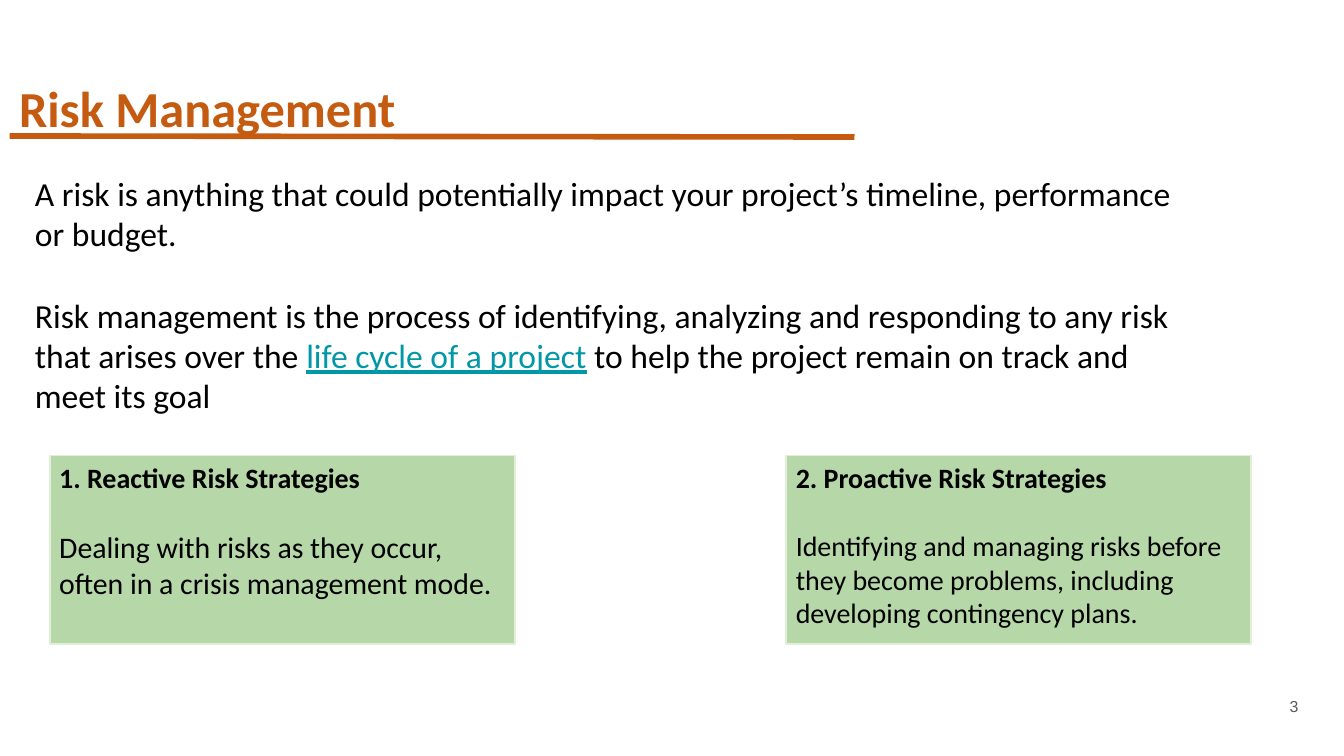
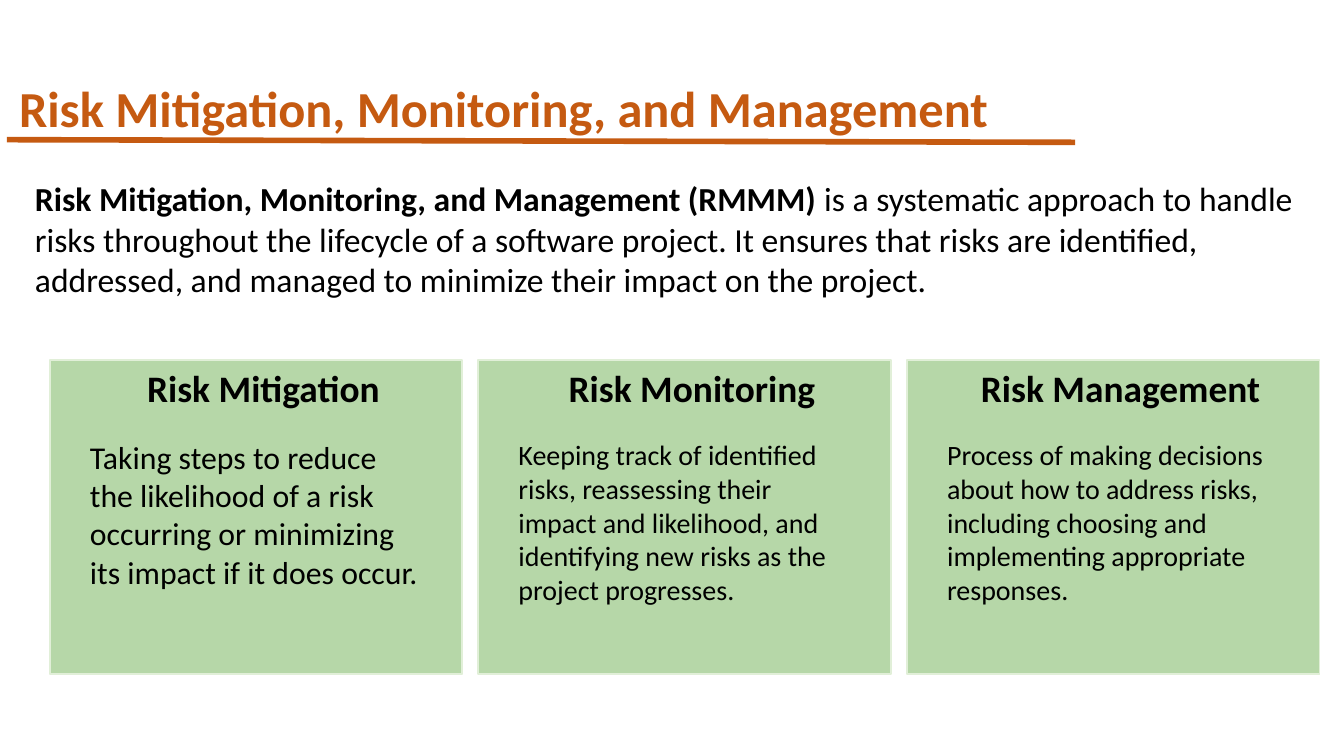
from lxml.etree import SubElement
from pptx import Presentation
from pptx.dml.color import RGBColor
from pptx.enum.shapes import MSO_CONNECTOR as Connector, MSO_SHAPE as Shape
from pptx.enum.text import MSO_ANCHOR as Anchor, MSO_AUTO_SIZE as AutoSize, PP_ALIGN as Align
from pptx.oxml.ns import qn
from pptx.util import Cm, Pt

ORANGE, GREEN, PALE_GREEN = "C55A11", "B6D7A8", "E1EFD8"
BLACK, TEAL, GRAY = "000000", "0097A7", "595959"
TIGHT, ROOMY = (0.18, 0.1), (0.25, 0.25)  # side and top insets in cm


def rgb(value):
    return RGBColor.from_string(value)


def write(shape, *paragraphs, size=18, color=BLACK, font="Calibri", bold=False,
          align=Align.LEFT, anchor=Anchor.TOP, inset=ROOMY, gap=0, spacing=1,
          indent=(0, 0)):
    """Each paragraph is a list of (text, overrides); gap separates paragraphs."""
    frame = shape.text_frame
    frame.word_wrap = True
    frame.auto_size = AutoSize.NONE
    frame.vertical_anchor = anchor
    frame.margin_left = frame.margin_right = Cm(inset[0])
    frame.margin_top = frame.margin_bottom = Cm(inset[1])
    for number, runs in enumerate(paragraphs):
        paragraph = frame.add_paragraph() if number else frame.paragraphs[0]
        paragraph.alignment = align
        paragraph.line_spacing = spacing
        paragraph.space_before = Pt(gap if number else 0)
        properties = paragraph._p.get_or_add_pPr()
        properties.set("marL", str(Cm(indent[0])))
        properties.set("indent", str(Cm(indent[1])))
        SubElement(properties, qn("a:buNone"))
        for text, overrides in runs:
            run = paragraph.add_run()
            run.text = text
            run.font.name = font
            run.font.size = Pt(overrides.get("size", size))
            run.font.bold = overrides.get("bold", bold)
            run.font.underline = overrides.get("underline", False)
            run.font.color.rgb = rgb(overrides.get("color", color))


prs = Presentation()
prs.slide_width, prs.slide_height = Cm(25.4), Cm(14.29)

# Title, title width, underline (start and end), body position, body paragraphs
topics = [
    ("Risk Management", 15.9, (0.18, 2.57, 16.15, 2.59), (0.41, 3.02, 22.58, 10.64), [
        [("A risk is anything that could potentially impact your project’s timeline, "
          "performance or budget.", {})],
        [("Risk management is the process of identifying, analyzing and responding to "
          "any risk that arises over the ", {}),
         ("life cycle of a project", {"color": TEAL, "underline": True}),
         (" to help the project remain on track and meet its goal", {})],
    ]),
    ("Risk Mitigation, Monitoring, and Management", 19.99,
     (0.13, 2.64, 20.32, 2.69), (0.41, 3.12, 24.41, 2.82), [
        [("Risk Mitigation, Monitoring, and Management (RMMM)", {"bold": True}),
         (" is a systematic approach to handle risks throughout the lifecycle of a "
          "software project. It ensures that risks are identified, addressed, and "
          "managed to minimize their impact on the project.", {})],
    ]),
]

# Titles, underlines and body text
for heading, heading_width, underline, body_place, body_text in topics:
    slide = prs.slides.add_slide(prs.slide_layouts[1])
    title, body = slide.placeholders
    title.left, title.top = Cm(0.18), Cm(1.35)
    title.width, title.height = Cm(heading_width), Cm(0.94)
    write(title, [(heading, {})], size=27, color=ORANGE, bold=True, inset=TIGHT)

    rule = slide.shapes.add_connector(Connector.STRAIGHT, *map(Cm, underline))
    rule.line.color.rgb = rgb(ORANGE)
    rule.line.width = Pt(3)
    SubElement(rule._element.spPr, qn("a:effectLst"))

    body.left, body.top, body.width, body.height = map(Cm, body_place)
    write(body, *body_text, gap=22)

overview, rmmm = prs.slides

# Strategy boxes and risk cards: parent shapes, position, heading, text, text size
strategies = [
    ("1. Reactive Risk Strategies",
     "Dealing with risks as they occur, often in a crisis management mode.", 16),
    ("2. Proactive Risk Strategies",
     "Identifying and managing risks before they become problems, including "
     "developing contingency plans.", 15),
]
activities = [
    ("Risk Mitigation",
     "Taking steps to reduce the likelihood of a risk occurring or minimizing its "
     "impact if it does occur.", 17),
    ("Risk Monitoring",
     "Keeping track of identified risks, reassessing their impact and likelihood, "
     "and identifying new risks as the project progresses.", 15),
    ("Risk Management",
     "Process of making decisions about how to address risks, including choosing "
     "and implementing appropriate responses.", 15),
]
panels = []

for index, (heading, detail, size) in enumerate(strategies):
    box = overview.shapes.add_shape(
        Shape.RECTANGLE, Cm(0.94 + 13.92 * index), Cm(8.61), Cm(8.79), Cm(3.56))
    write(box, [(heading, {"bold": True, "size": 15})], [(detail, {})],
          size=size, inset=TIGHT, gap=18.3)
    panels.append(box)

for index, (heading, detail, size) in enumerate(activities):
    left = 0.94 + 8.1 * index
    group = rmmm.shapes.add_group_shape()
    card = group.shapes.add_shape(
        Shape.RECTANGLE, Cm(left), Cm(6.81), Cm(7.8), Cm(5.94))
    write(card, [(heading, {})], size=20, bold=True, align=Align.CENTER,
          inset=TIGHT, indent=(0.71, -0.43))
    panels.append(card)
    explanation = group.shapes.add_textbox(
        Cm(left + 0.51), Cm(8.03), Cm(6.78), Cm(3.96))
    write(explanation, [(detail, {})], size=size)

# Shared look of the green panels
for panel in panels:
    panel.shadow.inherit = False
    panel.fill.solid()
    panel.fill.fore_color.rgb = rgb(GREEN)
    panel.line.color.rgb = rgb(PALE_GREEN)
    panel.line.width = Pt(1)

# Page number
page_number = overview.shapes.add_textbox(Cm(23.65), Cm(12.98), Cm(1.14), Cm(0.81))
write(page_number, [("3", {})], size=8.5, color=GRAY, font="Arial",
      align=Align.RIGHT, anchor=Anchor.MIDDLE, spacing=0.8)

prs.save("out.pptx")
